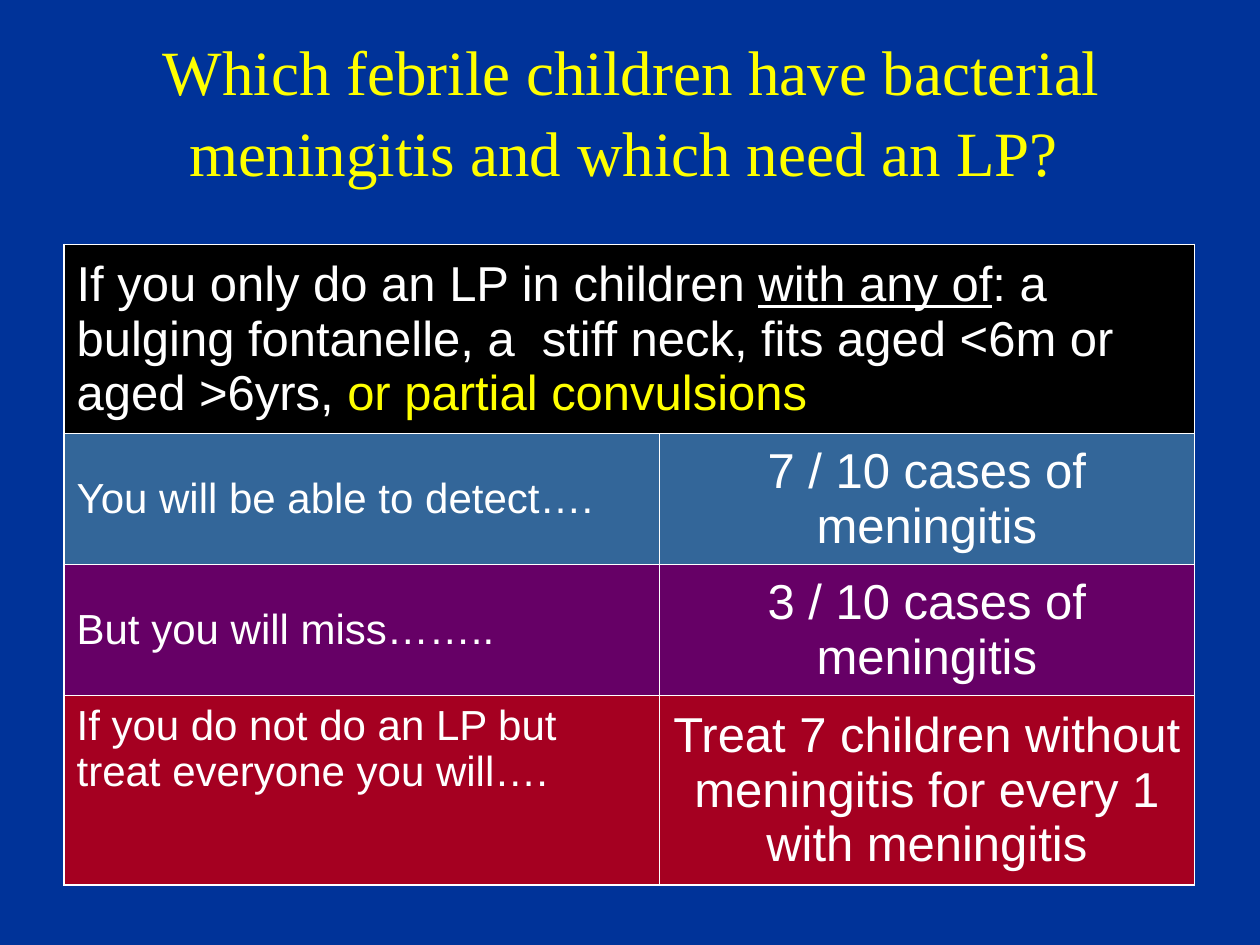
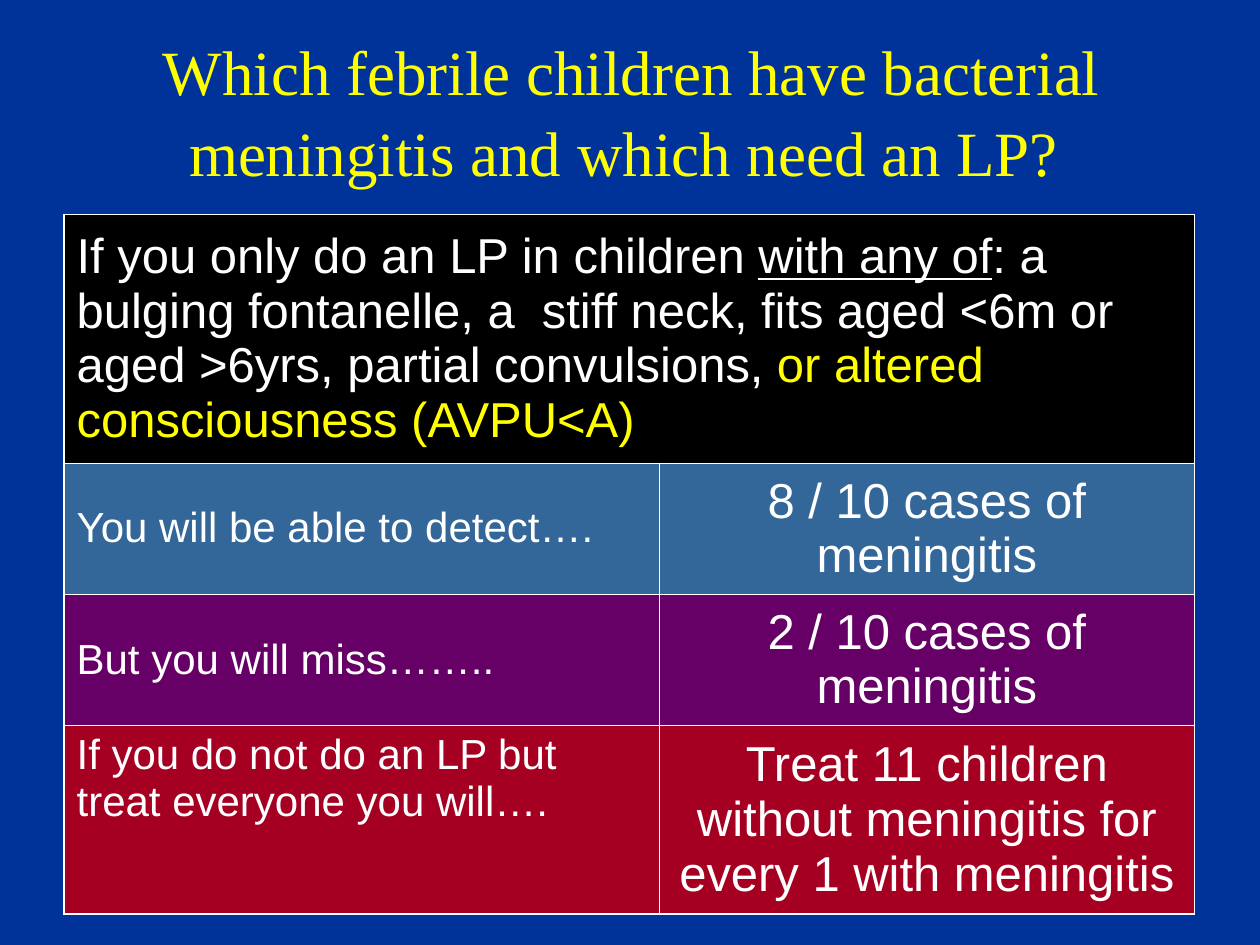
from dataclasses import dataclass

from lxml import etree
from pptx import Presentation
from pptx.dml.color import RGBColor
from pptx.enum.text import MSO_ANCHOR, PP_ALIGN
from pptx.oxml.ns import qn
from pptx.util import Pt

LEFT, CENTER = PP_ALIGN.LEFT, PP_ALIGN.CENTER
TOP, MIDDLE = MSO_ANCHOR.TOP, MSO_ANCHOR.MIDDLE

BLUE, YELLOW, WHITE, BLACK = "003399", "FFFF00", "FFFFFF", "000000"
STEEL, PURPLE, RED = "336699", "660066", "A50021"
TITLE_FONT, TABLE_FONT = "Times New Roman", "Arial"
TITLE = "Which febrile children have bacterial meningitis and which need an LP? "
TITLE_AREA = (42.5, 26, 637, 72)

TABLE_LEFT = 36.6
COLUMN_WIDTHS = (340, 306)
OUTCOME_HEIGHTS = (74.9, 74.9, 108)
OUTER_LINE, INNER_LINE = 1.08, 0.45
CELL_MARGINS = {
    "margin_left": Pt(7.2),
    "margin_right": Pt(7.2),
    "margin_top": Pt(3.6),
    "margin_bottom": Pt(3.6),
}


@dataclass(frozen=True)
class Run:
    text: str
    size: float
    font: str = TABLE_FONT
    color: str = WHITE
    underline: bool = False


@dataclass(frozen=True)
class Outcome:
    prompt: str
    result: str
    fill: str
    prompt_anchor: MSO_ANCHOR = MIDDLE


@dataclass(frozen=True)
class RuleSlide:
    table_top: float
    rule_height: float
    known_signs: str
    added_sign: str
    detected: int
    treated: int

    def rule_runs(self) -> list[Run]:
        return [
            Run("If you only do an LP in children ", 28),
            Run("with any of", 28, underline=True),
            Run(": a bulging fontanelle, a  stiff neck, fits aged <6m or aged >6yrs, "
                + self.known_signs, 28),
            Run(self.added_sign, 28, color=YELLOW),
        ]

    def outcomes(self) -> list[Outcome]:
        return [
            Outcome("You will be able to detect….",
                    f"{self.detected} / 10 cases of meningitis", STEEL),
            Outcome("But you will miss……..",
                    f"{10 - self.detected} / 10 cases of meningitis", PURPLE),
            Outcome("If you do not do an LP but treat everyone you will….",
                    f"Treat {self.treated} children without meningitis "
                    "for every 1 with meningitis", RED, TOP),
        ]


RULE_SLIDES = (
    RuleSlide(139.7, 107.8, "", "or partial convulsions", 7, 7),
    RuleSlide(122.5, 142, "partial convulsions, ",
              "or altered consciousness (AVPU<A)", 8, 11),
)


def rgb(value: str) -> RGBColor:
    return RGBColor.from_string(value)


def apply(target, values: dict) -> None:
    for name, value in values.items():
        setattr(target, name, value)


def write(paragraph, runs: list[Run], alignment: PP_ALIGN) -> None:
    paragraph.alignment = alignment
    for run in runs:
        part = paragraph.add_run()
        part.text = run.text
        apply(part.font, {"size": Pt(run.size), "name": run.font, "underline": run.underline})
        part.font.color.rgb = rgb(run.color)


def draw_title(slide) -> None:
    title = slide.shapes.add_textbox(*map(Pt, TITLE_AREA))
    apply(title.text_frame, {"word_wrap": True, "vertical_anchor": MIDDLE})
    paragraph = title.text_frame.paragraphs[0]
    paragraph.line_spacing = 1.07
    write(paragraph, [Run(TITLE, 36, TITLE_FONT, YELLOW)], CENTER)


def draw_borders(cell, outer_sides: dict[str, bool]) -> None:
    properties = cell._tc.get_or_add_tcPr()
    for position, (side, is_outer) in enumerate(outer_sides.items()):
        width = Pt(OUTER_LINE if is_outer else INNER_LINE)
        line = etree.Element(qn(f"a:{side}"), w=str(width))
        fill = etree.SubElement(line, qn("a:solidFill"))
        etree.SubElement(fill, qn("a:srgbClr"), val=WHITE)
        properties.insert(position, line)


def fill_cell(cell, runs: list[Run], fill: str, alignment: PP_ALIGN, anchor: MSO_ANCHOR) -> None:
    cell.fill.solid()
    cell.fill.fore_color.rgb = rgb(fill)
    apply(cell, {**CELL_MARGINS, "vertical_anchor": anchor})
    write(cell.text_frame.paragraphs[0], runs, alignment)


def draw_rule_table(slide, rule: RuleSlide) -> None:
    heights = (rule.rule_height, *OUTCOME_HEIGHTS)
    last_row, last_column = len(heights) - 1, len(COLUMN_WIDTHS) - 1
    area = (TABLE_LEFT, rule.table_top, sum(COLUMN_WIDTHS), sum(heights))
    table = slide.shapes.add_table(len(heights), len(COLUMN_WIDTHS), *map(Pt, area)).table
    apply(table, {"first_row": False, "horz_banding": False})
    for column, width in zip(table.columns, COLUMN_WIDTHS):
        column.width = Pt(width)
    for row, height in zip(table.rows, heights):
        row.height = Pt(height)

    table.cell(0, 0).merge(table.cell(0, last_column))
    fill_cell(table.cell(0, 0), rule.rule_runs(), BLACK, LEFT, MIDDLE)
    for row, outcome in enumerate(rule.outcomes(), start=1):
        fill_cell(table.cell(row, 0), [Run(outcome.prompt, 24)],
                  outcome.fill, LEFT, outcome.prompt_anchor)
        fill_cell(table.cell(row, 1), [Run(outcome.result, 28)],
                  outcome.fill, CENTER, MIDDLE)

    for row in range(len(heights)):
        for column in range(len(COLUMN_WIDTHS)):
            cell = table.cell(row, column)
            draw_borders(cell, {
                "lnL": column == 0,
                "lnR": column == last_column or cell.is_merge_origin,
                "lnT": row == 0,
                "lnB": row == last_row,
            })


def main() -> None:
    deck = Presentation()
    apply(deck, {"slide_width": Pt(720), "slide_height": Pt(540)})
    for rule in RULE_SLIDES:
        slide = deck.slides.add_slide(deck.slide_layouts[6])
        slide.background.fill.solid()
        slide.background.fill.fore_color.rgb = rgb(BLUE)
        draw_title(slide)
        draw_rule_table(slide, rule)
    deck.save("out.pptx")


if __name__ == "__main__":
    main()
